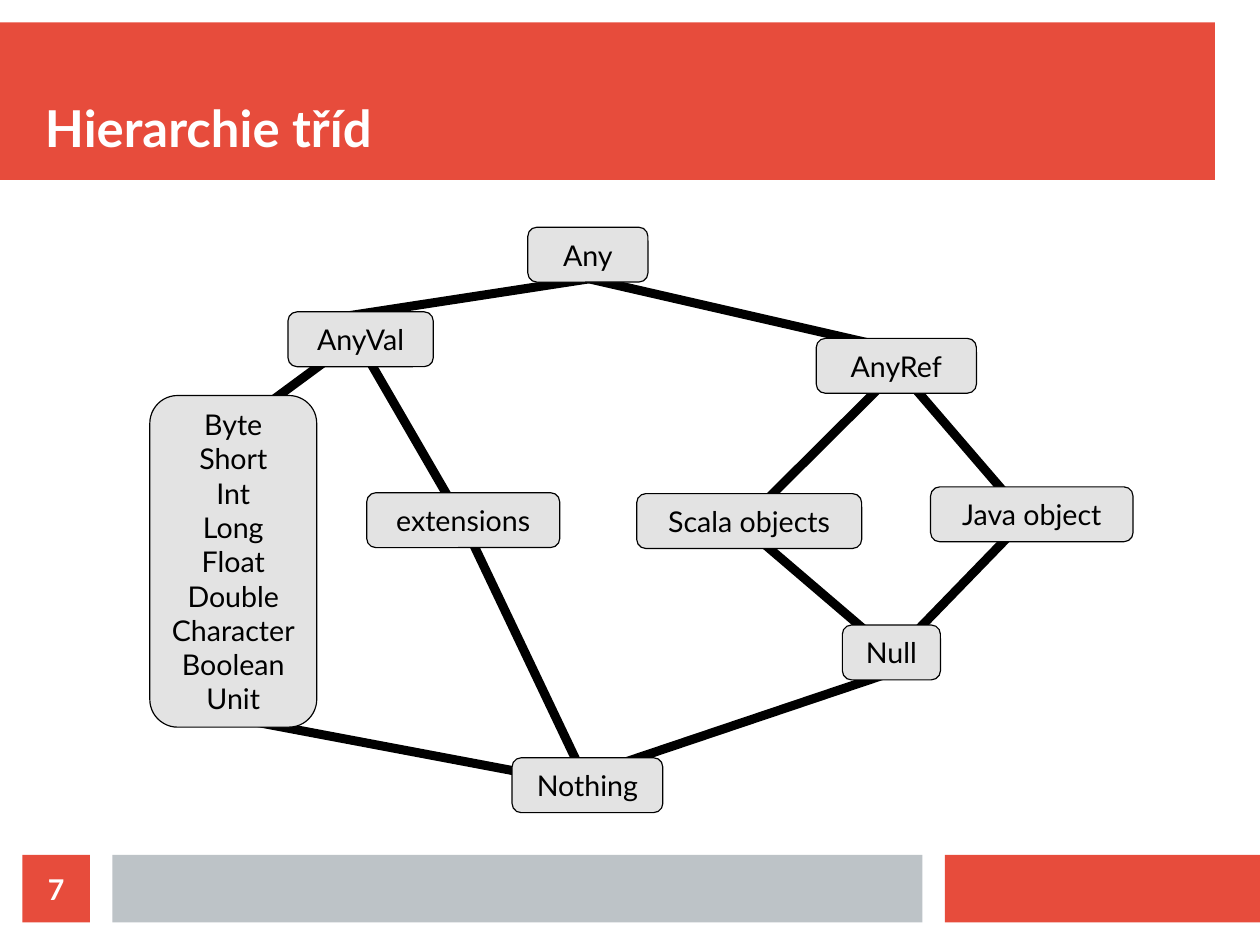
import pptx
import pptx.dml.color
import pptx.enum.shapes
import pptx.enum.text
import pptx.oxml
import pptx.util
from pptx.util import Cm

COLORS = {"accent": "E74C3C", "footer": "BDC3C7", "node": "E3E3E3",
          "ink": "000000", "light": "FFFFFF"}
SHAPES = pptx.enum.shapes.MSO_SHAPE
ALIGN = pptx.enum.text.PP_ALIGN
ANCHOR = pptx.enum.text.MSO_ANCHOR

NODE_FONT = {"name": "Lato", "size": pptx.util.Pt(18), "bold": False}
NUMBER_FONT = {**NODE_FONT, "bold": True}
TITLE_FONT = {**NUMBER_FONT, "size": pptx.util.Pt(32)}
NO_MARGINS = dict.fromkeys(
    ("margin_left", "margin_top", "margin_right", "margin_bottom"), 0)
NODE_FRAME = {"word_wrap": False, "vertical_anchor": ANCHOR.MIDDLE}
NUMBER_FRAME = {**NO_MARGINS, "word_wrap": True, "vertical_anchor": ANCHOR.MIDDLE}
TITLE_FRAME = {**NO_MARGINS, "word_wrap": True, "vertical_anchor": ANCHOR.BOTTOM,
               "auto_size": pptx.enum.text.MSO_AUTO_SIZE.NONE}

# left, top, width, height in cm
BARS = [
    ("accent", 0, 0.5, 27, 3.5),
    ("accent", 21, 19, 7, 1.5),
    ("footer", 2.5, 19, 18, 1.5),
]
NODE_HEIGHT = 1.22
VALUE_TYPES = ["Byte", "Short", "Int", "Long", "Float", "Double",
               "Character", "Boolean", "Unit"]
NODES = [
    ("AnyRef", 18.14, 7.52, 3.56, NODE_HEIGHT),
    ("\n".join(VALUE_TYPES), 3.33, 8.79, 3.71, 7.37),
    ("extensions", 8.15, 10.95, 4.29, NODE_HEIGHT),
    ("Scala objects", 14.15, 10.97, 5, NODE_HEIGHT),
    ("Java object", 20.68, 10.82, 4.5, NODE_HEIGHT),
    ("Null", 18.72, 13.89, 2.18, NODE_HEIGHT),
    ("Nothing", 11.38, 16.84, 3.35, NODE_HEIGHT),
    ("Any", 11.73, 5.05, 2.67, NODE_HEIGHT),
    ("AnyVal", 6.4, 6.93, 3.23, NODE_HEIGHT),
]

# points behind the nodes where inheritance lines meet, in cm
ANYVAL = (7.92, 7.52)
EXTENSIONS = (10.29, 11.61)
ANYREF = (19.96, 8.2)
SCALA = (16.48, 11.66)
JAVA = (22.81, 11.51)
NULL = (19.86, 14.55)
INHERITANCE = [
    ((13.72, 6.1), (7.14, 7.11)),
    ((12.67, 6.1), (20.52, 7.9)),
    (ANYVAL, (5.03, 9.65)),
    (EXTENSIONS, ANYVAL),
    (ANYREF, SCALA),
    (JAVA, ANYREF),
    (NULL, SCALA),
    (JAVA, NULL),
    ((4.11, 15.75), (12.85, 17.4)),
    (EXTENSIONS, (13.03, 17.37)),
    ((20.29, 14.78), (12.6, 17.37)),
]


def rgb(color):
    return pptx.dml.color.RGBColor.from_string(COLORS[color])


def apply(target, values):
    for name, value in values.items():
        setattr(target, name, value)


def write(shape, text, frame_format, font_format, color, alignment):
    frame = shape.text_frame
    frame.text = text
    apply(frame, frame_format)
    for paragraph in frame.paragraphs:
        paragraph.alignment = alignment
        apply(paragraph.font, font_format)
        paragraph.font.color.rgb = rgb(color)


def add_block(slide, kind, fill, *box):
    block = slide.shapes.add_shape(kind, *map(Cm, box))
    block.shadow.inherit = False
    block.fill.solid()
    block.fill.fore_color.rgb = rgb(fill)
    block.line.fill.background()
    return block


def add_title(slide, text):
    """Fill the title placeholder and bring it in front of the bars."""
    title = slide.shapes.title
    apply(title, {"left": Cm(1), "top": Cm(1), "width": Cm(26), "height": Cm(2.5)})
    write(title, text, TITLE_FRAME, TITLE_FONT, "light", ALIGN.LEFT)
    slide.shapes.element.append(title.element)


def add_inheritance(slide, start, end):
    line = slide.shapes.add_connector(
        pptx.enum.shapes.MSO_CONNECTOR.STRAIGHT, *map(Cm, start + end))
    line.line.color.rgb = rgb("ink")
    line.line.width = pptx.util.Pt(5.67)
    line.element.spPr.append(pptx.oxml.parse_xml(
        '<a:effectLst xmlns:a="http://schemas.openxmlformats.org/drawingml/2006/main"/>'))


def add_node(slide, text, *box):
    node = add_block(slide, SHAPES.ROUNDED_RECTANGLE, "node", *box)
    node.line.color.rgb = rgb("ink")
    node.line.width = 0
    write(node, text, NODE_FRAME, NODE_FONT, "ink", ALIGN.CENTER)


def add_page_number(slide, number):
    badge = add_block(slide, SHAPES.RECTANGLE, "accent", 0.5, 19, 1.5, 1.5)
    write(badge, number, NUMBER_FRAME, NUMBER_FONT, "light", ALIGN.CENTER)


def main():
    deck = pptx.Presentation()
    deck.slide_width, deck.slide_height = Cm(28), Cm(21)
    slide = deck.slides.add_slide(deck.slide_layouts.get_by_name("Title Only"))
    for fill, *box in BARS:
        add_block(slide, SHAPES.RECTANGLE, fill, *box)
    add_title(slide, "Hierarchie tříd")
    for start, end in INHERITANCE:
        add_inheritance(slide, start, end)
    for text, *box in NODES:
        add_node(slide, text, *box)
    add_page_number(slide, "7")
    deck.save("out.pptx")


if __name__ == "__main__":
    main()
